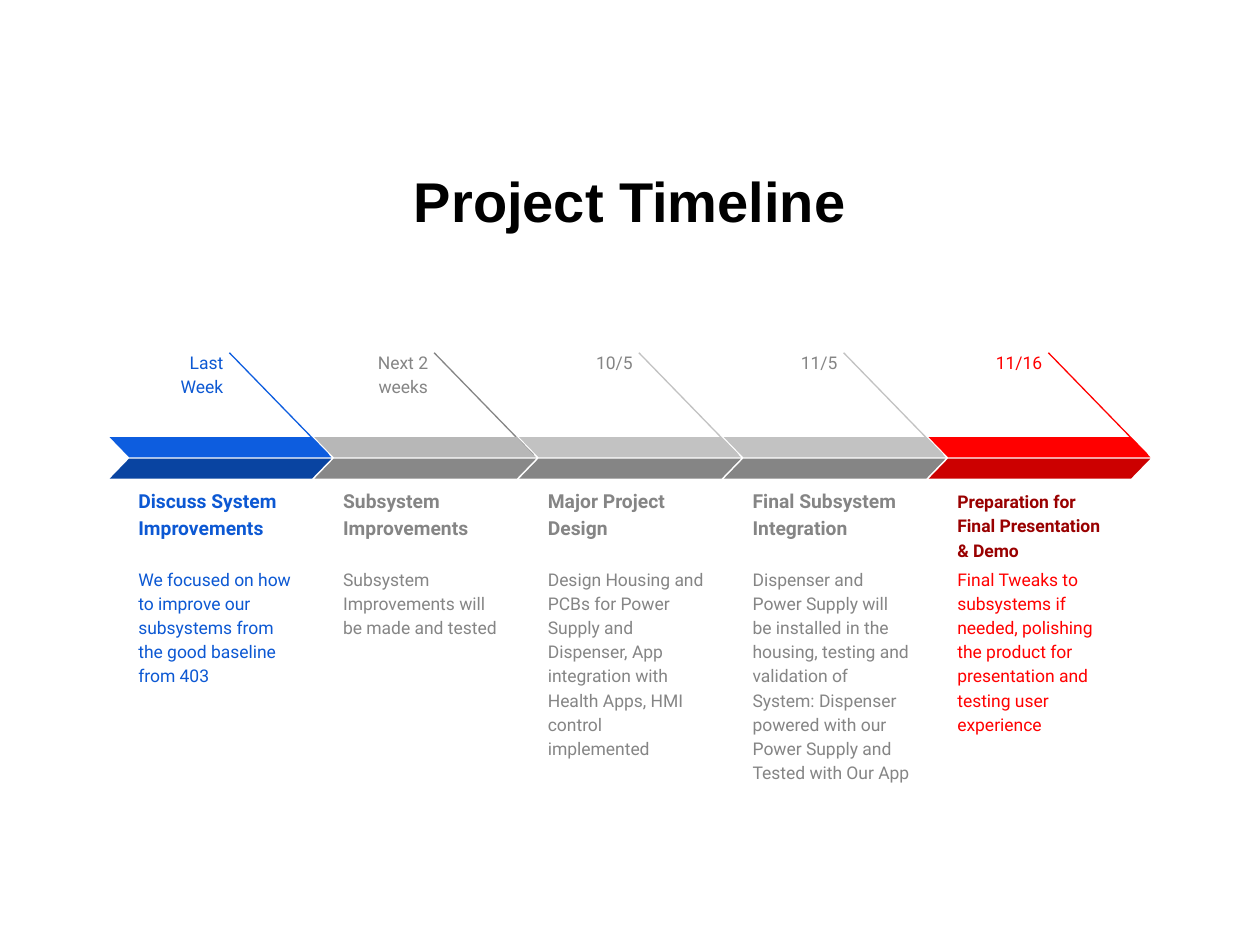
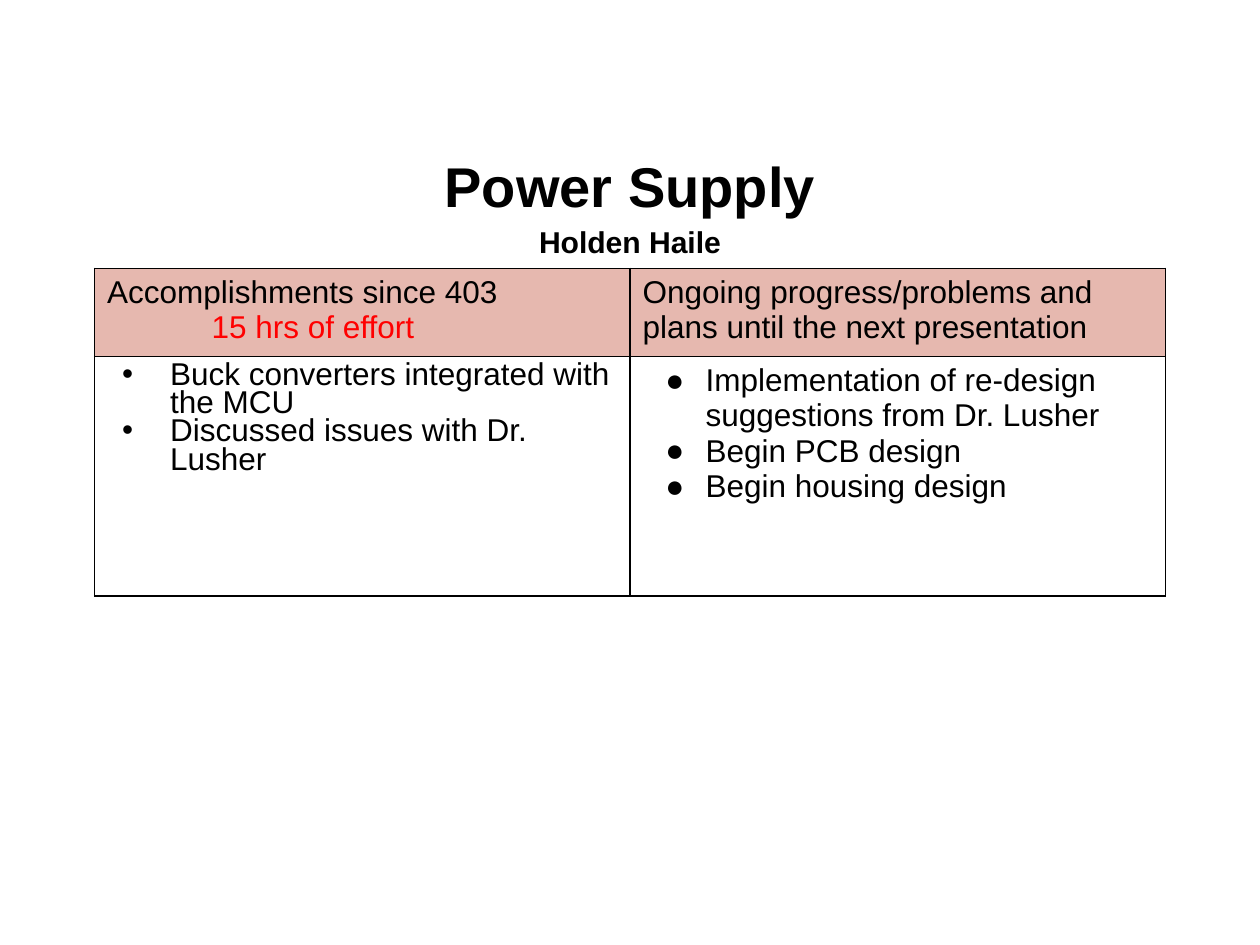
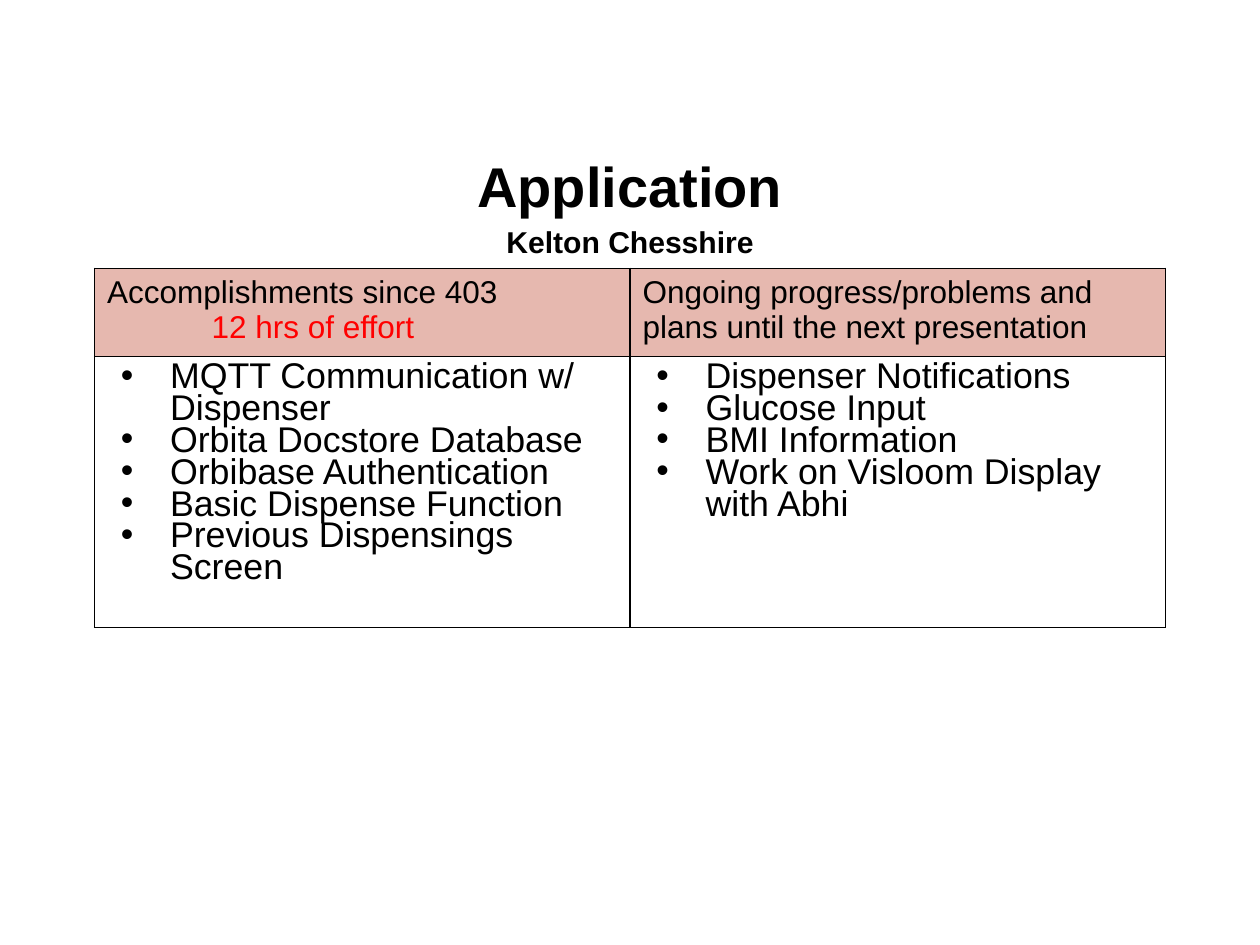
import pptx
import pptx.util
import pptx.dml.color
import pptx.enum.shapes
import pptx.enum.text
import pptx.oxml.ns
from lxml import etree

Inches, Pt = pptx.util.Inches, pptx.util.Pt
RGBColor = pptx.dml.color.RGBColor
ALIGN, ANCHOR = pptx.enum.text.PP_ALIGN, pptx.enum.text.MSO_ANCHOR
qn = pptx.oxml.ns.qn

BLACK = RGBColor(0x00, 0x00, 0x00)
RED = RGBColor(0xFF, 0x00, 0x00)
DARK_RED = RGBColor(0xCC, 0x00, 0x00)
DEEP_RED = RGBColor(0x99, 0x00, 0x00)
BLUE = RGBColor(0x0D, 0x5D, 0xDF)
DARK_BLUE = RGBColor(0x09, 0x44, 0xA1)
TEXT_BLUE = RGBColor(0x0C, 0x58, 0xD3)
LIGHT_GREY = RGBColor(0xC2, 0xC2, 0xC2)
MID_GREY = RGBColor(0xB7, 0xB7, 0xB7)
GREY = RGBColor(0x88, 0x88, 0x88)
TEXT_GREY = RGBColor(0x85, 0x85, 0x85)
HEADER_PINK = RGBColor(0xE6, 0xB8, 0xAF)

WIDTH, HEIGHT = 10, 7.5
TITLE_FONT, TIMELINE_FONT = "Arial", "Roboto"
TITLE_BOX = (0.5, 1.15, 9, 0.88)
TABLE_ORIGIN = (0.75, 2.13)
TABLE_COLUMN, HEADER_ROW = 4.25, 0.7

# Timeline grid: each milestone spans 12.5 columns
TIMELINE_ORIGIN = (0.87, 2.67)
COL, ROW, MILESTONE_COLS = 0.13, 0.16, 12.5

# date, heading, details, line / upper band / lower band / heading / text
# colours, heading size, heading row
MILESTONES = [
    ("Last Week", "Discuss System Improvements",
     "We focused on how to improve our subsystems from the good baseline from 403",
     BLUE, BLUE, DARK_BLUE, TEXT_BLUE, TEXT_BLUE, 11, 7.63),
    ("Next 2 weeks", "Subsystem Improvements",
     "Subsystem Improvements will be made and tested",
     TEXT_GREY, MID_GREY, GREY, TEXT_GREY, TEXT_GREY, 11, 7.63),
    ("10/5", "Major Project Design",
     "Design Housing and PCBs for Power Supply and Dispenser, App integration "
     "with Health Apps, HMI control implemented",
     LIGHT_GREY, LIGHT_GREY, TEXT_GREY, TEXT_GREY, TEXT_GREY, 11, 7.63),
    ("11/5", "Final Subsystem Integration",
     "Dispenser and Power Supply will be installed in the housing, testing and "
     "validation of System: Dispenser powered with our Power Supply and Tested "
     "with Our App",
     LIGHT_GREY, LIGHT_GREY, TEXT_GREY, TEXT_GREY, TEXT_GREY, 11, 7.63),
    ("11/16", "Preparation for Final Presentation & Demo",
     "Final Tweaks to subsystems if needed, polishing the product for "
     "presentation and testing user experience",
     RED, RED, DARK_RED, DEEP_RED, RED, 10, 8.69),
]


def style(paragraph, font, size, color, bold=False):
    paragraph.font.name = font
    paragraph.font.size = Pt(size)
    paragraph.font.bold = bold
    paragraph.font.color.rgb = color


def add_text_frame(slide, box, anchor, vertical_inset):
    frame = slide.shapes.add_textbox(*map(Inches, box)).text_frame
    frame.word_wrap = True
    frame.vertical_anchor = anchor
    frame.margin_left = frame.margin_right = Inches(0.1)
    frame.margin_top = frame.margin_bottom = Inches(vertical_inset)
    return frame


def add_title(slide, title, owner=None):
    frame = add_text_frame(slide, TITLE_BOX, ANCHOR.MIDDLE, 0.05)
    heading = frame.paragraphs[0]
    lines = [(heading, title, 32)]
    if owner:
        lines.append((frame.add_paragraph(), owner, 17.2))
    for paragraph, text, size in lines:
        paragraph.text = text
        paragraph.alignment = ALIGN.CENTER
        if owner:
            paragraph.line_spacing = 1.15
        style(paragraph, TITLE_FONT, size, BLACK, bold=True)


def add_milestone(slide, left, top, milestone):
    (date, heading, details, line_color, upper_color, lower_color,
     heading_color, text_color, heading_size, heading_row) = milestone

    def cell(col, row, cols, rows):
        return left + col * COL, top + row * ROW, cols * COL, rows * ROW

    def label(text, box, size, color, bold=False,
              align=ALIGN.LEFT, anchor=ANCHOR.TOP):
        paragraph = add_text_frame(slide, box, anchor, 0.1).paragraphs[0]
        paragraph.text = text
        paragraph.alignment = align
        paragraph.line_spacing = 1.15
        style(paragraph, TIMELINE_FONT, size, color, bold)

    # Slanted pointer from the date to the arrow tip
    x, y, run, drop = cell(7.31, 0.81, 6.07, 5.07)
    pointer = slide.shapes.add_connector(
        pptx.enum.shapes.MSO_CONNECTOR.STRAIGHT,
        *map(Inches, (x, y, x + run, y + drop)))
    pointer.line.color.rgb = line_color
    pointer.line.width = Pt(0.75)
    etree.SubElement(pointer._element.spPr, qn("a:effectLst"))

    # Arrow made of two mirrored bands
    for row, color, mirrored in ((5, upper_color, True),
                                 (6.06, lower_color, False)):
        band = slide.shapes.add_shape(
            pptx.enum.shapes.MSO_SHAPE.PARALLELOGRAM,
            *map(Inches, cell(0, row, 13.54, 1)))
        band.adjustments[0] = 0.97
        band.shadow.inherit = False
        band.fill.solid()
        band.fill.fore_color.rgb = color
        band.line.fill.background()
        if mirrored:
            band._element.spPr.find(qn("a:xfrm")).set("flipH", "1")

    # Texts
    label(heading, cell(1, heading_row, 11.15, 3.06), heading_size,
          heading_color, bold=True, anchor=ANCHOR.BOTTOM)
    label(details, cell(1, 10.75, 11.15, 5.06), 10, text_color)
    label(date, cell(2.46, 0, 5.23, 1.63), 10, text_color, align=ALIGN.RIGHT)


def build_timeline_slide(slide):
    add_title(slide, "Project Timeline")
    left, top = TIMELINE_ORIGIN
    for index, milestone in enumerate(MILESTONES):
        add_milestone(slide, left + index * MILESTONE_COLS * COL, top, milestone)


def add_borders(cell):
    properties = cell._tc.get_or_add_tcPr()
    for side in ("a:lnL", "a:lnR", "a:lnT", "a:lnB"):
        border = etree.SubElement(properties, qn(side), w=str(Pt(1)))
        fill = etree.SubElement(border, qn("a:solidFill"))
        etree.SubElement(fill, qn("a:srgbClr"), val=str(BLACK))


def write_bullets(cell, items, size, hanging, bullet="•", compact=True):
    frame = cell.text_frame
    for index, item in enumerate(items):
        paragraph = frame.add_paragraph() if index else frame.paragraphs[0]
        paragraph.text = item
        if compact:
            paragraph.line_spacing = 0.8
            paragraph.space_before = Pt(0 if index else 3.6)
        properties = paragraph._p.get_or_add_pPr()
        properties.set("marL", str(Inches(0.5)))
        properties.set("indent", str(-Inches(hanging)))
        bullet_color = etree.SubElement(properties, qn("a:buClr"))
        etree.SubElement(bullet_color, qn("a:srgbClr"), val=str(BLACK))
        etree.SubElement(properties, qn("a:buFont"), typeface=TITLE_FONT)
        etree.SubElement(properties, qn("a:buChar"), char=bullet)
        style(paragraph, TITLE_FONT, size, BLACK)


def build_status_slide(slide, title, owner, effort, body_height, done, plans):
    add_title(slide, title, owner)
    left, top = TABLE_ORIGIN
    table = slide.shapes.add_table(
        2, 2, *map(Inches, (left, top, 2 * TABLE_COLUMN,
                            HEADER_ROW + body_height))).table
    table.first_row = table.horz_banding = False
    for column in table.columns:
        column.width = Inches(TABLE_COLUMN)
    for row, height in zip(table.rows, (HEADER_ROW, body_height)):
        row.height = Inches(height)
    for cell in table.iter_cells():
        add_borders(cell)
        cell.fill.background()

    # Header row
    headers = ("Accomplishments since 403",
               "Ongoing progress/problems and plans until the next presentation")
    for column, header in enumerate(headers):
        cell = table.cell(0, column)
        cell.fill.solid()
        cell.fill.fore_color.rgb = HEADER_PINK
        cell.text = header
        style(cell.text_frame.paragraphs[0], TITLE_FONT, 18, BLACK)
    hours = table.cell(0, 0).text_frame.add_paragraph()
    hours.text = effort
    hours._p.get_or_add_pPr().set("marL", str(Inches(0.83)))
    style(hours, TITLE_FONT, 18, RED)

    # Body row
    for column, bullets in enumerate((done, plans)):
        write_bullets(table.cell(1, column), **bullets)


def main():
    deck = pptx.Presentation()
    deck.slide_width, deck.slide_height = Inches(WIDTH), Inches(HEIGHT)

    def new_slide():
        return deck.slides.add_slide(deck.slide_layouts[6])

    build_timeline_slide(new_slide())
    build_status_slide(
        new_slide(), "Power Supply", "Holden Haile", "15 hrs of effort", 1.9,
        done=dict(items=["Buck converters integrated with the MCU",
                         "Discussed issues with Dr. Lusher"],
                  size=18, hanging=0.38),
        plans=dict(items=["Implementation of re-design suggestions from Dr. Lusher",
                          "Begin PCB design", "Begin housing design"],
                   size=18, hanging=0.32, bullet="●", compact=False))
    build_status_slide(
        new_slide(), "Application", "Kelton Chesshire", "12 hrs of effort", 2.15,
        done=dict(items=["MQTT Communication w/ Dispenser",
                         "Orbita Docstore Database", "Orbibase Authentication",
                         "Basic Dispense Function",
                         "Previous Dispensings Screen"],
                  size=20.4, hanging=0.39),
        plans=dict(items=["Dispenser Notifications", "Glucose Input",
                          "BMI Information", "Work on Visloom Display with Abhi"],
                   size=20.4, hanging=0.39))
    deck.save("out.pptx")


if __name__ == "__main__":
    main()
